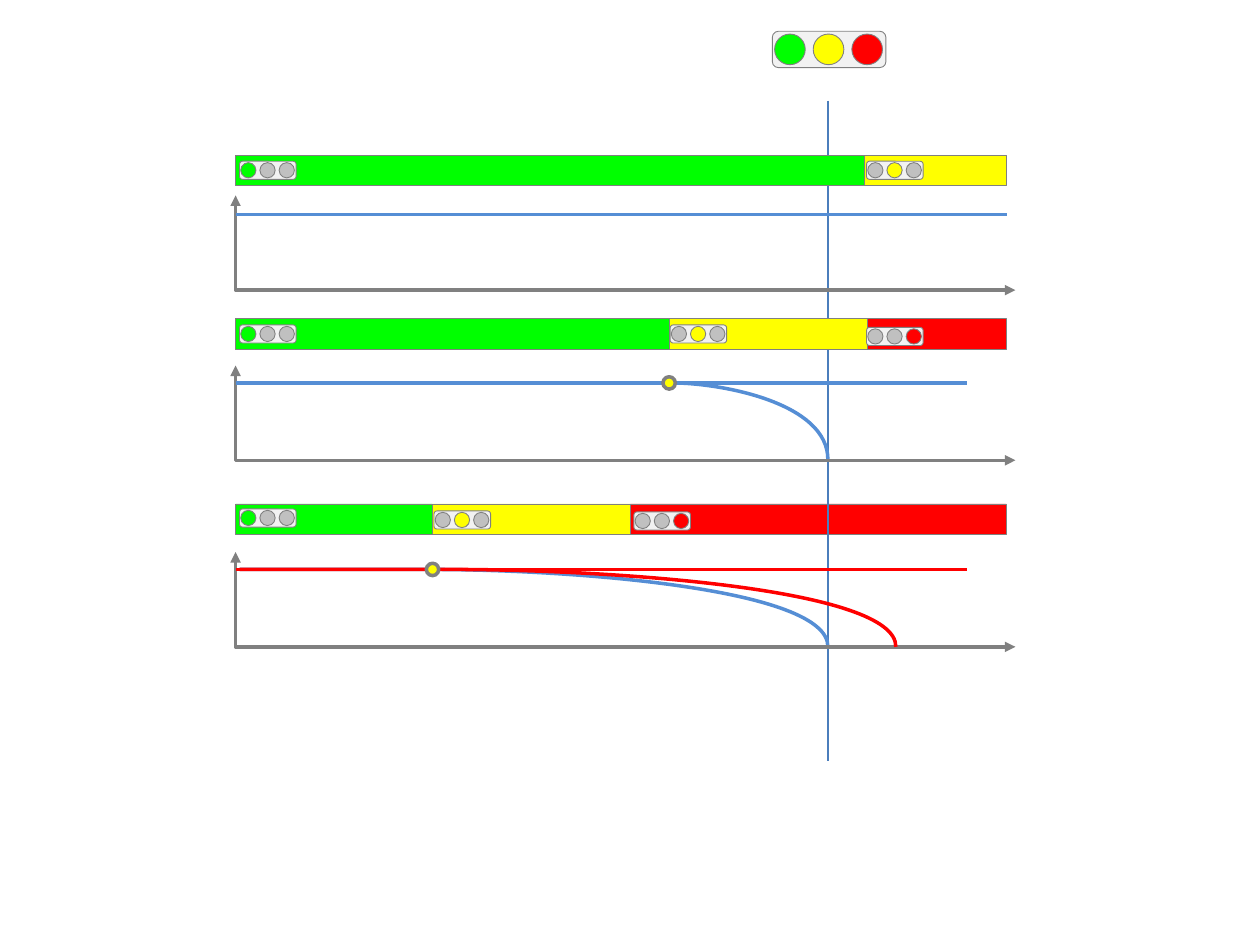
from dataclasses import dataclass

from lxml import etree
from pptx import Presentation
from pptx import util as u
from pptx.dml import color
from pptx.enum import shapes
from pptx.oxml import ns

GREEN, YELLOW, RED = "00FF00", "FFFF00", "FF0000"
OFF, HOUSING, GREY = "C0C0C0", "F2F2F2", "808080"
BLUE, STOP_BLUE = "558ED5", "4B7EBC"
SIGNALS = (GREEN, YELLOW, RED)
LEFT, RIGHT, AXIS_END, STOP_X = 4.75, 20.29, 20.47, 16.69
BAR_H, AXIS_H, MARKER = 0.62, 1.91, 0.25


@dataclass
class Curve:
    bend: float
    control: float
    end: float
    hex_: str


@dataclass
class Scenario:
    bar_top: float
    edges: tuple[float, ...]
    lights: tuple[tuple[float, float], ...]
    axis_top: float
    speed_y: float
    speed_end: float
    speed_hex: str
    curves: tuple[Curve, ...] = ()


SCENARIOS = (
    Scenario(3.13, (LEFT, 17.43, RIGHT), ((4.83, 3.25), (17.47, 3.25)),
             3.94, 4.32, RIGHT, BLUE),
    Scenario(6.43, (LEFT, 13.49, 17.48, RIGHT),
             ((4.83, 6.55), (13.51, 6.55), (17.47, 6.6)),
             7.37, 7.72, 19.5, BLUE, (Curve(13.56, 14.48, STOP_X, BLUE),)),
    Scenario(10.16, (LEFT, 8.72, 12.71, RIGHT),
             ((4.83, 10.26), (8.75, 10.3), (12.78, 10.32)),
             11.13, 11.48, 19.5, RED,
             (Curve(8.64, 11.51, STOP_X, BLUE), Curve(9.07, 12.27, 18.06, RED))),
)


def rgb(hex_: str) -> color.RGBColor:
    return color.RGBColor.from_string(hex_)


def set_line(sp, hex_: str, width: float) -> None:
    sp.line.color.rgb = rgb(hex_)
    sp.line.width = u.Pt(width)


def add_preset(parent, kind, x: float, y: float, w: float, h: float,
               fill: str, width: float = 0.5):
    sp = parent.add_shape(kind, u.Cm(x), u.Cm(y), u.Cm(w), u.Cm(h))
    sp.shadow.inherit = False
    sp.fill.solid()
    sp.fill.fore_color.rgb = rgb(fill)
    set_line(sp, GREY, width)
    return sp


def add_line(s, x1: float, y1: float, x2: float, y2: float,
             hex_: str, width: float) -> None:
    c = s.shapes.add_connector(shapes.MSO_CONNECTOR.STRAIGHT,
                               u.Cm(x1), u.Cm(y1), u.Cm(x2), u.Cm(y2))
    set_line(c, hex_, width)
    etree.SubElement(c._element.spPr, ns.qn("a:effectLst"))


def add_outline(s, points: list[tuple[float, float]], hex_: str):
    start, *rest = [(u.Cm(x), u.Cm(y)) for x, y in points]
    fb = s.shapes.build_freeform(*start)
    fb.add_line_segments(rest, close=False)
    sp = fb.convert_to_shape()
    sp.shadow.inherit = False
    sp.fill.background()
    set_line(sp, hex_, 2)
    return sp


def add_axes(s, top: float) -> None:
    base = top + AXIS_H
    sp = add_outline(s, [(LEFT, top), (LEFT, base), (AXIS_END, base)], GREY)
    ln = sp.line._get_or_add_ln()
    for end in ("a:headEnd", "a:tailEnd"):
        etree.SubElement(ln, ns.qn(end), type="triangle")


def add_curve(s, row: Scenario, curve: Curve) -> None:
    y = row.speed_y
    sp = add_outline(s, [(4.83, y), (curve.bend, y), (curve.control, y),
                         (curve.end + 0.02, y + 0.38),
                         (curve.end, row.axis_top + AXIS_H)], curve.hex_)
    segments = list(sp._element.iter(ns.qn("a:lnTo")))[1:]
    bezier = etree.SubElement(segments[0].getparent(), ns.qn("a:cubicBezTo"))
    for segment in segments:
        bezier.append(segment[0])
        segment.getparent().remove(segment)


def add_light(s, x: float, y: float, w: float, lamps: tuple[str, ...]) -> None:
    h, lamp, pad, pitch = 0.32 * w, 0.27 * w, 0.02 * w, 0.34 * w
    group = s.shapes.add_group_shape().shapes
    add_preset(group, shapes.MSO_SHAPE.ROUNDED_RECTANGLE, x, y, w, h, HOUSING)
    for i, fill in enumerate(lamps):
        add_preset(group, shapes.MSO_SHAPE.OVAL, x + pad + i * pitch,
                   y + (h - lamp) / 2, lamp, lamp, fill)


def add_bar(s, row: Scenario) -> None:
    for x1, x2, fill in zip(row.edges, row.edges[1:], SIGNALS):
        add_preset(s.shapes, shapes.MSO_SHAPE.RECTANGLE,
                   x1, row.bar_top, x2 - x1, BAR_H, fill)


def add_diagram(s, row: Scenario) -> None:
    for curve in row.curves:
        if curve.hex_ == BLUE:
            add_curve(s, row, curve)
    add_axes(s, row.axis_top)
    add_line(s, LEFT, row.speed_y, row.speed_end, row.speed_y, row.speed_hex, 2)
    for curve in row.curves:
        if curve.hex_ == RED:
            add_curve(s, row, curve)
    for (x, y), lit in zip(row.lights, SIGNALS):
        add_light(s, x, y, 1.14, tuple(c if c == lit else OFF for c in SIGNALS))
    if row.curves:
        add_preset(s.shapes, shapes.MSO_SHAPE.OVAL, row.edges[1] - MARKER / 2,
                   row.speed_y - MARKER / 2, MARKER, MARKER, YELLOW, 2)


def main() -> None:
    prs = Presentation()
    prs.slide_width, prs.slide_height = u.Cm(25.4), u.Cm(19.05)
    s = prs.slides.add_slide(prs.slide_layouts[6])
    first, second, third = SCENARIOS
    add_light(s, 15.57, 0.63, 2.29, SIGNALS)
    add_bar(s, third)
    add_line(s, STOP_X, 2.03, STOP_X, 15.34, STOP_BLUE, 0.75)
    add_bar(s, second)
    add_bar(s, first)
    for row in SCENARIOS:
        add_diagram(s, row)
    prs.save("out.pptx")


if __name__ == "__main__":
    main()
